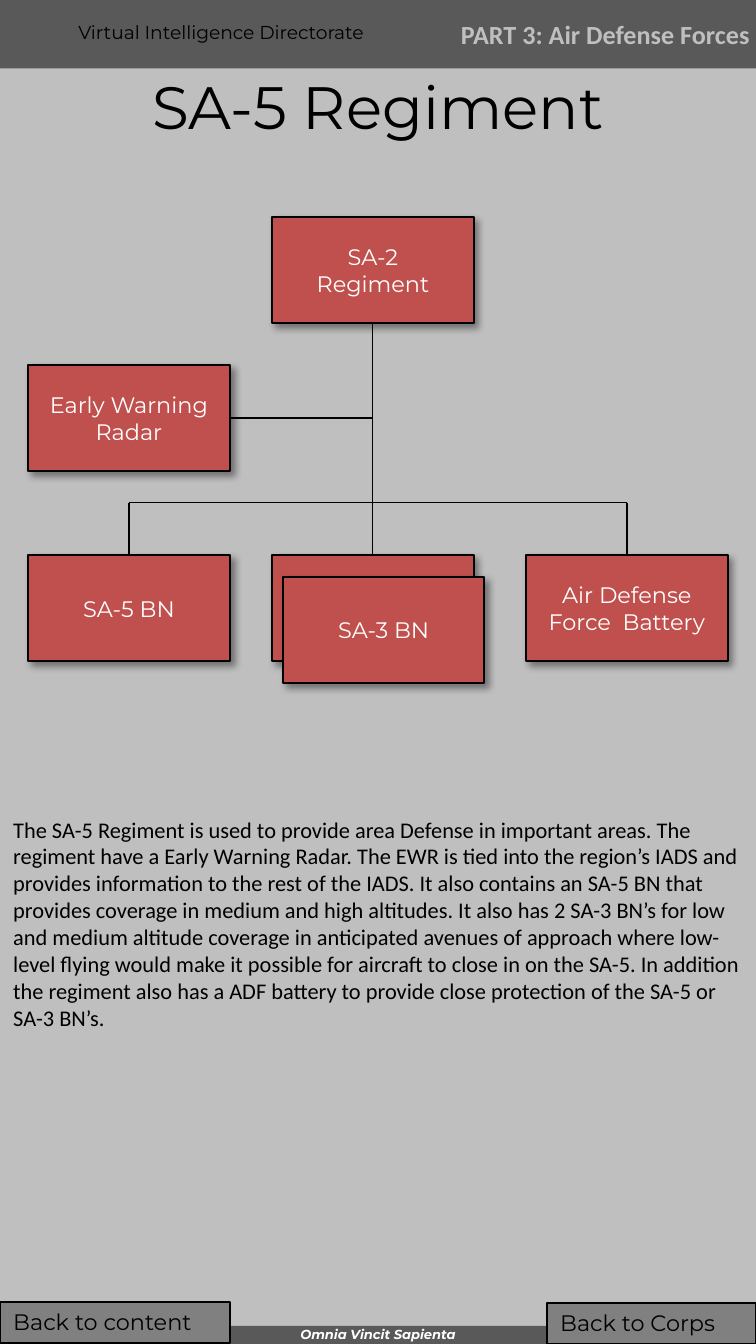
"""Builds the SA-5 Regiment organisation slide."""
from dataclasses import dataclass

from lxml import etree
from pptx import Presentation
from pptx import util as u
from pptx.dml.color import RGBColor
from pptx.enum import shapes, text
from pptx.oxml import ns

PX = 4572
WIDTH, HEIGHT = 1125, 2000
UNIT_W, UNIT_H = 300, 158
BAND_H = 102


@dataclass(frozen=True)
class Theme:
    """Colours, fonts and type sizes of the slide."""
    page: str = "BFBFBF"
    band: str = "595959"
    unit: str = "C0504D"
    button: str = "808080"
    ink: str = "000000"
    light: str = "FFFFFF"
    display: str = "Montserrat"
    body: str = "Calibri"
    title_pt: int = 32
    part_pt: int = 14
    body_pt: int = 12
    header_pt: int = 10
    motto_pt: int = 7


@dataclass(frozen=True)
class Box:
    """Place and size in px."""
    left: int
    top: int
    width: int
    height: int

    def emu(self) -> list[u.Emu]:
        """Return left, top, width and height in EMU."""
        return [u.Emu(v * PX) for v in (self.left, self.top, self.width, self.height)]


@dataclass(frozen=True)
class Unit:
    """One military unit in the chart."""
    name: str
    left: int
    top: int


@dataclass(frozen=True)
class Link:
    """A straight line between two points."""
    x1: int
    y1: int
    x2: int
    y2: int


THEME = Theme()
LEFT_X, MID_X, RIGHT_X = 42, 405, 783
HQ_Y, RADAR_Y, BN_Y = 323, 543, 826
BUS_Y, RADAR_LINK_Y = 748, 622
LEFT_AXIS, MID_AXIS, RIGHT_AXIS = 192, 554, 933

UNITS = [
    Unit("SA-2\nRegiment", MID_X, HQ_Y),
    Unit("SA-5 BN", LEFT_X, BN_Y),
    Unit("Early Warning Radar", LEFT_X, RADAR_Y),
    Unit("Air Defense Force  Battery", RIGHT_X, BN_Y),
    Unit("", MID_X, BN_Y),
    Unit("SA-3 BN", MID_X + 16, BN_Y + 32),
]
LINKS = [
    Link(MID_AXIS, HQ_Y + UNIT_H, MID_AXIS, BN_Y),
    Link(LEFT_X + UNIT_W, RADAR_LINK_Y, MID_AXIS, RADAR_LINK_Y),
    Link(LEFT_AXIS, BUS_Y, LEFT_AXIS, BN_Y),
    Link(RIGHT_AXIS, BUS_Y, RIGHT_AXIS, BN_Y),
    Link(RIGHT_AXIS, BUS_Y, LEFT_AXIS, BUS_Y),
]
BUTTONS = [
    ("Back to content", Box(0, 1937, 342, 61)),
    ("Back to Corps", Box(814, 1939, 311, 61)),
]
SUMMARY = (
    "The SA-5 Regiment is used to provide area Defense in important areas. "
    "The regiment have a Early Warning Radar. The EWR is tied into the region’s "
    "IADS and provides information to the rest of the IADS. It also contains an "
    "SA-5 BN that provides coverage in medium and high altitudes. It also has 2 "
    "SA-3 BN’s for low and medium altitude coverage in anticipated avenues of "
    "approach where low-level flying would make it possible for aircraft to close "
    "in on the SA-5. In addition the regiment also has a ADF battery to provide "
    "close protection of the SA-5 or SA-3 BN’s."
)


def write(shape, words: str, *, size: int, font: str = THEME.display,
          color: str = THEME.ink, bold: bool = False, italic: bool = False,
          centred: bool = False, middle: bool = False, inset: bool = True) -> None:
    """Fill a shape with formatted text."""
    frame = shape.text_frame
    frame.text = words
    frame.word_wrap = True
    frame.auto_size = text.MSO_AUTO_SIZE.NONE
    frame.vertical_anchor = text.MSO_ANCHOR.MIDDLE if middle else text.MSO_ANCHOR.TOP
    frame.margin_left = frame.margin_right = u.Emu(20 * PX if inset else 0)
    frame.margin_top = frame.margin_bottom = u.Emu(10 * PX if inset else 0)
    for paragraph in frame.paragraphs:
        paragraph.alignment = text.PP_ALIGN.CENTER if centred else text.PP_ALIGN.LEFT
        for run in paragraph.runs:
            run.font.name = font
            run.font.size = u.Pt(size)
            run.font.bold = bold
            run.font.italic = italic
            run.font.color.rgb = RGBColor.from_string(color)


def add_rect(slide, box: Box, fill: str, outlined: bool = False):
    """Add a flat rectangle, with a black outline if asked."""
    rect = slide.shapes.add_shape(shapes.MSO_SHAPE.RECTANGLE, *box.emu())
    rect.shadow.inherit = False
    rect.fill.solid()
    rect.fill.fore_color.rgb = RGBColor.from_string(fill)
    if outlined:
        rect.line.color.rgb = RGBColor.from_string(THEME.ink)
        rect.line.width = u.Pt(1)
    else:
        rect.line.fill.background()
    return rect


def add_text(slide, box: Box, words: str, **style) -> None:
    """Add a text box."""
    write(slide.shapes.add_textbox(*box.emu()), words, **style)


def add_unit(slide, unit: Unit) -> None:
    """Add a unit box with a soft shadow to the lower right."""
    rect = add_rect(slide, Box(unit.left, unit.top, UNIT_W, UNIT_H), THEME.unit, True)
    effects = rect.element.spPr.find(ns.qn("a:effectLst"))
    shadow = etree.SubElement(effects, ns.qn("a:outerShdw"), blurRad=str(u.Pt(4)),
                              dist=str(u.Pt(3)), dir="2700000", algn="tl", rotWithShape="0")
    shade = etree.SubElement(shadow, ns.qn("a:srgbClr"), val=THEME.ink)
    etree.SubElement(shade, ns.qn("a:alpha"), val="40000")
    if unit.name:
        write(rect, unit.name, size=THEME.body_pt, color=THEME.light,
              centred=True, middle=True)


def add_link(slide, link: Link) -> None:
    """Add a thin black line."""
    ends = [u.Emu(v * PX) for v in (link.x1, link.y1, link.x2, link.y2)]
    line = slide.shapes.add_connector(shapes.MSO_CONNECTOR.STRAIGHT, *ends)
    line.line.color.rgb = RGBColor.from_string(THEME.ink)
    line.line.width = u.Pt(0.75)
    etree.SubElement(line.element.spPr, ns.qn("a:effectLst"))


def main() -> None:
    """Build and save the slide."""
    deck = Presentation()
    deck.slide_width, deck.slide_height = u.Emu(WIDTH * PX), u.Emu(HEIGHT * PX)
    slide = deck.slides.add_slide(deck.slide_layouts[5])
    slide.background.fill.solid()
    slide.background.fill.fore_color.rgb = RGBColor.from_string(THEME.page)

    title = slide.shapes.title
    title.left, title.top, title.width, title.height = Box(0, BAND_H, WIDTH, 110).emu()
    write(title, "SA-5 Regiment", size=THEME.title_pt, centred=True, middle=True)

    add_rect(slide, Box(0, 0, WIDTH, BAND_H), THEME.band)
    add_rect(slide, Box(0, 1973, WIDTH, 27), THEME.band)
    add_text(slide, Box(97, 21, 772, 54), "Virtual Intelligence Directorate",
             size=THEME.header_pt)
    add_text(slide, Box(0, 1974, WIDTH, 24), "Omnia Vincit Sapienta", size=THEME.motto_pt,
             color=THEME.light, bold=True, italic=True, centred=True, inset=False)
    add_text(slide, Box(651, 0, 500, BAND_H), "PART 3: Air Defense Forces", size=THEME.part_pt,
             font=THEME.body, color=THEME.page, bold=True, centred=True, middle=True)

    for unit in UNITS:
        add_unit(slide, unit)
    for link in LINKS:
        add_link(slide, link)
    add_text(slide, Box(0, 1204, WIDTH, 424), SUMMARY, size=THEME.body_pt, font=THEME.body)
    for label, box in BUTTONS:
        write(add_rect(slide, box, THEME.button, True), label, size=THEME.body_pt)

    deck.save("out.pptx")


if __name__ == "__main__":
    main()
